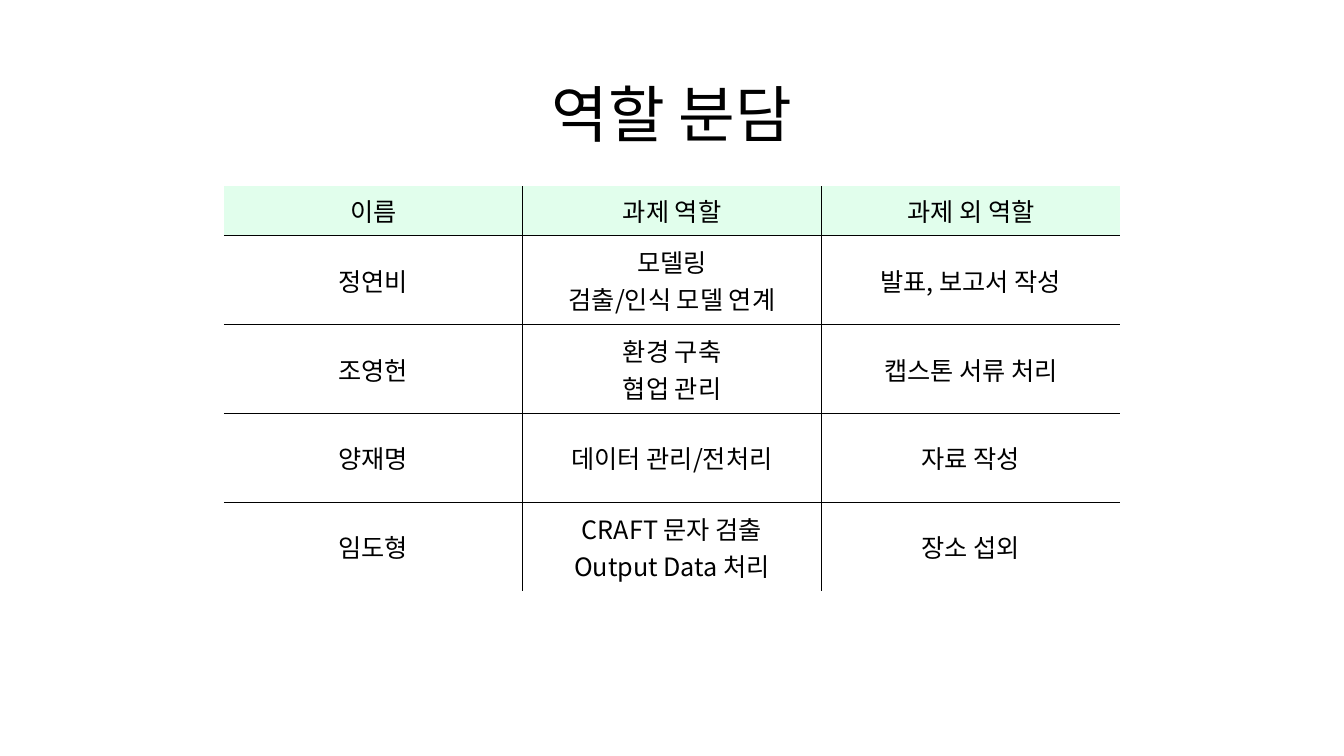
from dataclasses import dataclass

from lxml.etree import SubElement
from pptx import Presentation
from pptx.dml.color import RGBColor
from pptx.enum.text import MSO_ANCHOR, PP_ALIGN
from pptx.oxml.ns import qn
from pptx.util import Cm, Pt

TITLE = "역할 분담"
HEADINGS = ["이름", "과제 역할", "과제 외 역할"]
MEMBERS = [
    ["정연비", "모델링\n검출/인식 모델 연계", "발표, 보고서 작성"],
    ["조영헌", "환경 구축\n협업 관리", "캡스톤 서류 처리"],
    ["양재명", "데이터 관리/전처리", "자료 작성"],
    ["임도형", "CRAFT 문자 검출\nOutput Data 처리", "장소 섭외"],
]


@dataclass(frozen=True)
class Theme:
    ink: str = "000000"
    heading_fill: str = "E1FEEC"
    title_font: str = "Calibri"
    body_font: str = "Noto Sans CJK KR"
    title_size: int = 44
    body_size: int = 18
    rule_width: int = 1


THEME = Theme()
SLIDE_WIDTH, SLIDE_HEIGHT = Cm(33.87), Cm(19.05)
TITLE_TOP, TITLE_WIDTH, TITLE_HEIGHT = Cm(1.01), Cm(29.21), Cm(3.68)
TABLE_TOP, COLUMN_WIDTH = Cm(4.69), Cm(7.53)
HEADING_HEIGHT, MEMBER_HEIGHT = Cm(1.25), Cm(2.24)


def write_text(frame, text, font=THEME.body_font, size=THEME.body_size, color=THEME.ink):
    frame.text = text
    for paragraph in frame.paragraphs:
        paragraph.alignment = PP_ALIGN.CENTER
        for run in paragraph.runs:
            run.font.name = font
            run.font.size = Pt(size)
            run.font.color.rgb = RGBColor.from_string(color)
            SubElement(run.font._element, qn("a:ea"), typeface=THEME.body_font)


def rule_cell(cell, inner_edges):
    properties = cell._tc.get_or_add_tcPr()
    for edge, is_inner in inner_edges.items():
        line = SubElement(properties, qn(f"a:ln{edge}"), w=str(Pt(THEME.rule_width)))
        if is_inner:
            fill = SubElement(line, qn("a:solidFill"))
            SubElement(fill, qn("a:srgbClr"), val=THEME.ink)
        else:
            SubElement(line, qn("a:noFill"))


def add_title(slide):
    title = slide.shapes.title
    title.left, title.top = (SLIDE_WIDTH - TITLE_WIDTH) // 2, TITLE_TOP
    title.width, title.height = TITLE_WIDTH, TITLE_HEIGHT
    title.text_frame.vertical_anchor = MSO_ANCHOR.MIDDLE
    write_text(title.text_frame, TITLE, font=THEME.title_font, size=THEME.title_size)


def add_roles(slide):
    rows = [HEADINGS, *MEMBERS]
    last_row, last_column = len(rows) - 1, len(HEADINGS) - 1
    width = COLUMN_WIDTH * len(HEADINGS)
    height = HEADING_HEIGHT + MEMBER_HEIGHT * len(MEMBERS)
    left = (SLIDE_WIDTH - width) // 2
    roles = slide.shapes.add_table(
        len(rows), len(HEADINGS), left, TABLE_TOP, width, height
    ).table
    roles.first_row = roles.horz_banding = False
    for column in roles.columns:
        column.width = COLUMN_WIDTH

    for r, entries in enumerate(rows):
        roles.rows[r].height = MEMBER_HEIGHT if r else HEADING_HEIGHT
        for c, entry in enumerate(entries):
            cell = roles.cell(r, c)
            cell.vertical_anchor = MSO_ANCHOR.MIDDLE
            write_text(cell.text_frame, entry)
            rule_cell(cell, {"L": c > 0, "R": c < last_column, "T": r > 0, "B": r < last_row})
            if r == 0:
                cell.fill.solid()
                cell.fill.fore_color.rgb = RGBColor.from_string(THEME.heading_fill)
            else:
                cell.fill.background()


def main():
    deck = Presentation()
    deck.slide_width, deck.slide_height = SLIDE_WIDTH, SLIDE_HEIGHT
    slide = deck.slides.add_slide(deck.slide_layouts.get_by_name("Title Only"))
    add_title(slide)
    add_roles(slide)
    deck.save("out.pptx")


if __name__ == "__main__":
    main()
